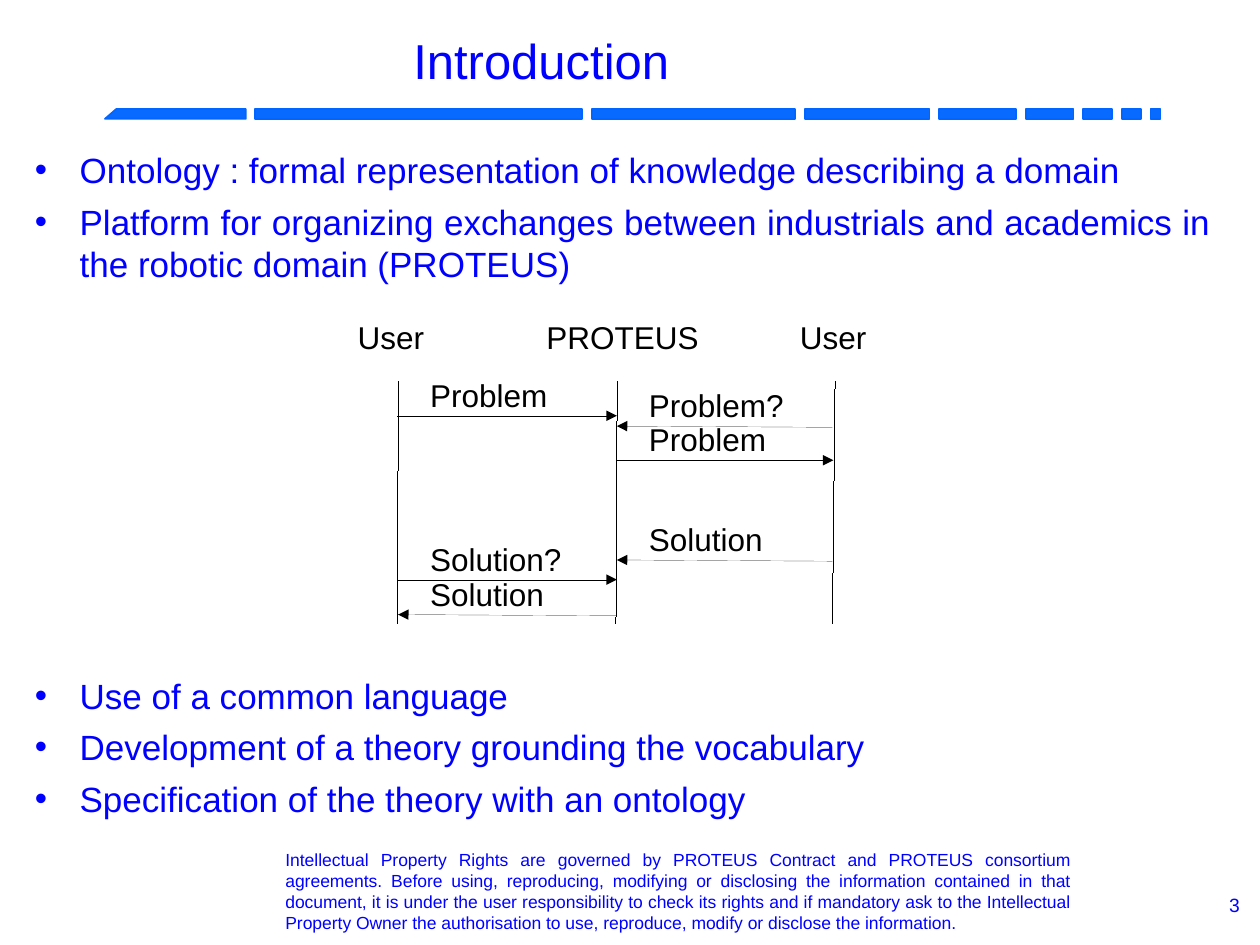
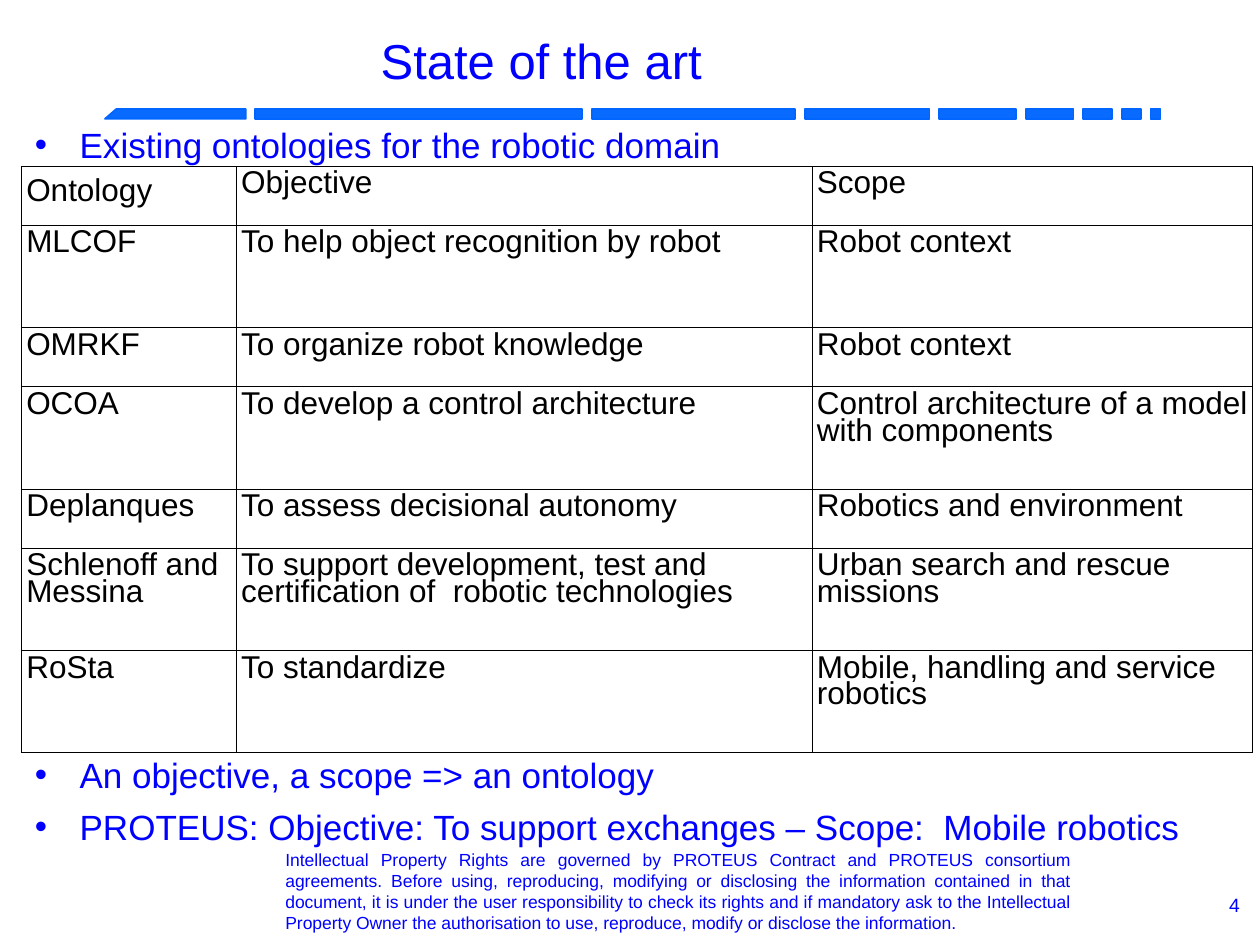
from lxml import etree
from pptx import Presentation
from pptx import util as u
from pptx.dml.color import RGBColor
from pptx.enum import shapes, text
from pptx.oxml.ns import qn

Pt = u.Pt
FONT = "Arial"
COLORS = {"text": "0000FF", "band": "0066FF", "ink": "000000"}
TIGHT = 0.76  # line spacing of labels and cells
RIGHTS = (
    "Intellectual Property Rights are governed by PROTEUS Contract and PROTEUS consortium "
    "agreements. Before using, reproducing, modifying or disclosing the information contained "
    "in that document, it is under the user responsibility to check its rights and if mandatory "
    "ask to the Intellectual Property Owner the authorisation to use, reproduce, modify or "
    "disclose the information.")

# Boxes: left, top, width, height
TITLE = (11.5, 6, 595.5, 57)
BAND = (60, 62.3, 604, 5.6)
FOOTER = (156, 481.7, 462.5, 56)
NUMBER = (623.5, 510.5, 85, 24.5)


def rgb(name):
    return RGBColor.from_string(COLORS[name])


def add_run(p, words, size, color="text"):
    r = p.add_run()
    r.text = words
    r.font.size, r.font.name = Pt(size), FONT
    r.font.color.rgb = rgb(color)


def place(sp, box):
    sp.left, sp.top, sp.width, sp.height = [Pt(v) for v in box]


def set_frame(tf, insets=(0, 0), wrap=True, anchor=text.MSO_ANCHOR.TOP):
    tf.word_wrap, tf.vertical_anchor = wrap, anchor
    tf.auto_size = text.MSO_AUTO_SIZE.NONE if wrap else text.MSO_AUTO_SIZE.SHAPE_TO_FIT_TEXT
    tf.margin_left = tf.margin_right = Pt(insets[0])
    tf.margin_top = tf.margin_bottom = Pt(insets[1])


def add_text(s, box, words, size, color="text", align=None, spacing=None,
             insets=(0, 0), wrap=True):
    sp = s.shapes.add_textbox(*[Pt(v) for v in box])
    set_frame(sp.text_frame, insets, wrap)
    p = sp.text_frame.paragraphs[0]
    p.alignment, p.line_spacing = align, spacing
    add_run(p, words, size, color)


def add_line(s, x1, y1, x2, y2, arrow=False):
    c = s.shapes.add_connector(shapes.MSO_CONNECTOR.STRAIGHT, Pt(x1), Pt(y1), Pt(x2), Pt(y2))
    c.line.color.rgb = rgb("ink")
    ln = c._element.spPr.find(qn("a:ln"))
    ln.set("w", "0")  # hairline
    if arrow:
        etree.SubElement(ln, qn("a:tailEnd"), type="triangle")
    etree.SubElement(c._element.spPr, qn("a:effectLst"))


# Parts shared by all slides
def add_title(s, words):
    sp = s.shapes.title
    place(sp, TITLE)
    set_frame(sp.text_frame, anchor=text.MSO_ANCHOR.MIDDLE)
    p = sp.text_frame.paragraphs[0]
    p.alignment = text.PP_ALIGN.CENTER
    add_run(p, words, 28)


def add_band(s, box):
    left, top, width, height = box
    gap, x = 5.5, left + 85.6
    # Slanted first piece
    fb = s.shapes.build_freeform(Pt(left + 80.5), Pt(top), scale=1.0)
    fb.add_line_segments([(Pt(left + 6.5), Pt(top)), (Pt(left), Pt(top + height)),
                          (Pt(left + 80.5), Pt(top + height))], close=True)
    pieces = [fb.convert_to_shape()]
    # Bars that shrink to the right
    for w in (187.2, 116, 71.3, 44, 27.4, 16.6, 10.8, 5.8):
        pieces.append(s.shapes.add_shape(shapes.MSO_SHAPE.RECTANGLE,
                                         Pt(x), Pt(top), Pt(w), Pt(height)))
        x += w + gap
    for sp in pieces:
        sp.shadow.inherit = False
        sp.fill.solid()
        sp.fill.fore_color.rgb = sp.line.color.rgb = rgb("band")
        sp.line.width = Pt(1)
        color = sp._element.spPr.find(qn("a:solidFill"))[0]
        etree.SubElement(color, qn("a:alpha"), val="97000")


def add_bullets(sp, box, items):
    place(sp, box)
    tf = sp.text_frame
    set_frame(tf)
    for i, item in enumerate(items):
        p = tf.paragraphs[0] if i == 0 else tf.add_paragraph()
        pPr = p._p.get_or_add_pPr()
        pPr.set("marL", str(Pt(34)))
        pPr.set("indent", str(-Pt(25.5)))
        etree.SubElement(pPr, qn("a:buFont"), typeface=FONT)
        etree.SubElement(pPr, qn("a:buChar"), char="•")
        p.alignment, p.line_spacing = text.PP_ALIGN.JUSTIFY, 1.0
        p.space_before, p.space_after = Pt(0), Pt(5.6)
        add_run(p, item, 20)


def add_slide(prs, title, number, lists):
    s = prs.slides.add_slide(prs.slide_layouts.get_by_name("Two Content"))
    add_band(s, BAND)
    add_text(s, FOOTER, RIGHTS, 10, align=text.PP_ALIGN.JUSTIFY, insets=(7.2, 3.6))
    add_title(s, title)
    bodies = [sp for sp in s.placeholders if sp.placeholder_format.idx]
    for sp, (box, items) in zip(bodies, lists):
        add_bullets(sp, box, items)
    add_text(s, NUMBER, str(number), 11, align=text.PP_ALIGN.RIGHT)
    return s


# Exchange between users and the platform
def add_exchange(s, left, top):
    def label(x, y, w, words):
        add_text(s, (left + x, top + y, w, 24), words, 18, "ink", spacing=TIGHT,
                 insets=(7.2, 3.6), wrap=False)

    lifelines = [  # name, x, slant, label left, label width
        ("User", 0, 0.7, -29.7, 53), ("PROTEUS", 125, 0.7, 78.2, 102),
        ("User", 248.7, 1.5, 223, 53)]
    for name, x, slant, label_x, w in lifelines:
        add_line(s, left + x + slant, top + 35, left + x, top + 173.5)
        label(label_x, 0, w, name)

    messages = [  # words, sender, receiver, y, label width
        ("Problem", 0, 1, 54.6, 82), ("Problem?", 2, 1, 60.5, 92),
        ("Problem", 1, 2, 80, 82), ("Solution", 2, 1, 137, 80.5),
        ("Solution?", 0, 1, 148.2, 90), ("Solution", 1, 0, 168.2, 80.5)]
    for words, a, b, y, w in messages:
        x1, x2 = lifelines[a][1], lifelines[b][1]
        drop = 0.7 if a > b else 0
        add_line(s, left + x1, top + y + drop, left + x2 + 0.5, top + y, arrow=True)
        label(min(x1, x2) + 11.7, y - 21.5, w, words)


# Table of ontologies
def add_borders(cell):
    tcPr = cell._tc.get_or_add_tcPr()
    for i, side in enumerate(("lnL", "lnR", "lnT", "lnB")):
        ln = etree.Element(qn("a:" + side), w=str(Pt(0.57)))
        fill = etree.SubElement(ln, qn("a:solidFill"))
        etree.SubElement(fill, qn("a:srgbClr"), val=COLORS["ink"])
        tcPr.insert(i, ln)


def add_ontologies(s, left, top, rows):
    widths, low, high = (122.8, 329, 251.7), 33.75, 58.5
    heights = (low, high, low, high, low, high, high)
    tbl = s.shapes.add_table(len(rows), len(widths), Pt(left), Pt(top),
                             Pt(sum(widths)), Pt(sum(heights))).table
    tbl.first_row = tbl.horz_banding = False
    for col, w in zip(tbl.columns, widths):
        col.width = Pt(w)
    for i, (row, h) in enumerate(zip(rows, heights)):
        tbl.rows[i].height = Pt(h)
        for j, words in enumerate(row):
            cell = tbl.cell(i, j)
            cell.margin_left = cell.margin_right = Pt(2.8)
            cell.margin_top = cell.margin_bottom = Pt(3.6)
            cell.fill.background()
            add_borders(cell)
            p = cell.text_frame.paragraphs[0]
            p.line_spacing = TIGHT if i or j else 1.0
            add_run(p, words, 18, "ink")


def main():
    prs = Presentation()
    prs.slide_width, prs.slide_height = Pt(720), Pt(540)

    s = add_slide(prs, "Introduction", 3, [
        ((11.5, 85, 680.5, 98), [
            "Ontology\u00a0: formal representation of knowledge describing a domain",
            "Platform for organizing exchanges between industrials and academics in "
            "the robotic domain (PROTEUS)"]),
        ((11.5, 385.2, 680.5, 98), [
            "Use of a common language",
            "Development of a theory grounding the vocabulary",
            "Specification of the theory with an ontology"])])
    add_exchange(s, 227, 183)

    s = add_slide(prs, "State of the art", 4, [
        ((11.5, 70.5, 680.5, 32.5), ["Existing ontologies\u00a0for the robotic domain"]),
        ((11.5, 430.5, 680.5, 50.5), [
            "An objective, a scope => an ontology",
            "PROTEUS: Objective: To support exchanges – Scope:  Mobile robotics"])])
    add_ontologies(s, 12.25, 95, [
        ("Ontology", "Objective", "Scope"),
        ("MLCOF", "To help object recognition by robot", "Robot context"),
        ("OMRKF", "To organize robot knowledge", "Robot context"),
        ("OCOA", "To develop a control architecture",
         "Control architecture of a model with components"),
        ("Deplanques", "To assess decisional autonomy", "Robotics and environment"),
        ("Schlenoff and Messina",
         "To support development, test and certification of  robotic technologies",
         "Urban search and rescue missions"),
        ("RoSta", "To standardize", "Mobile, handling and service robotics")])

    prs.save("out.pptx")


if __name__ == "__main__":
    main()
